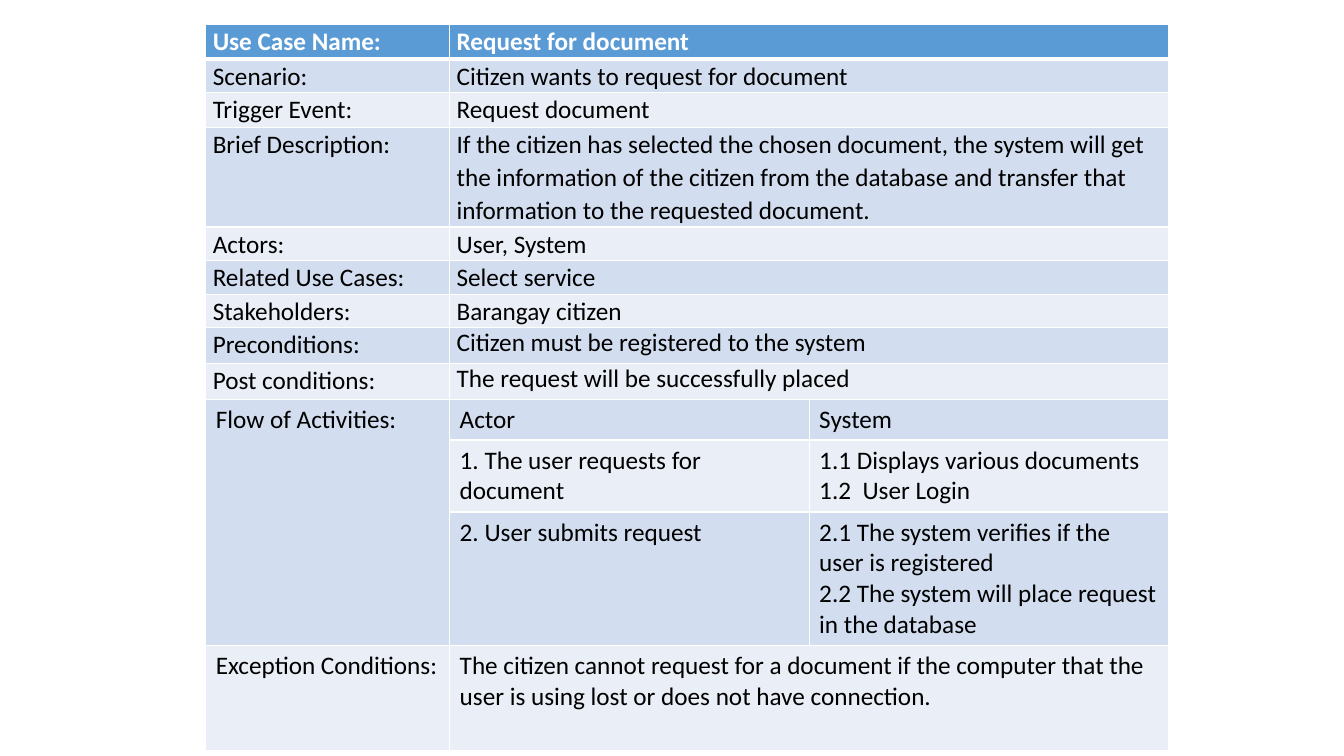
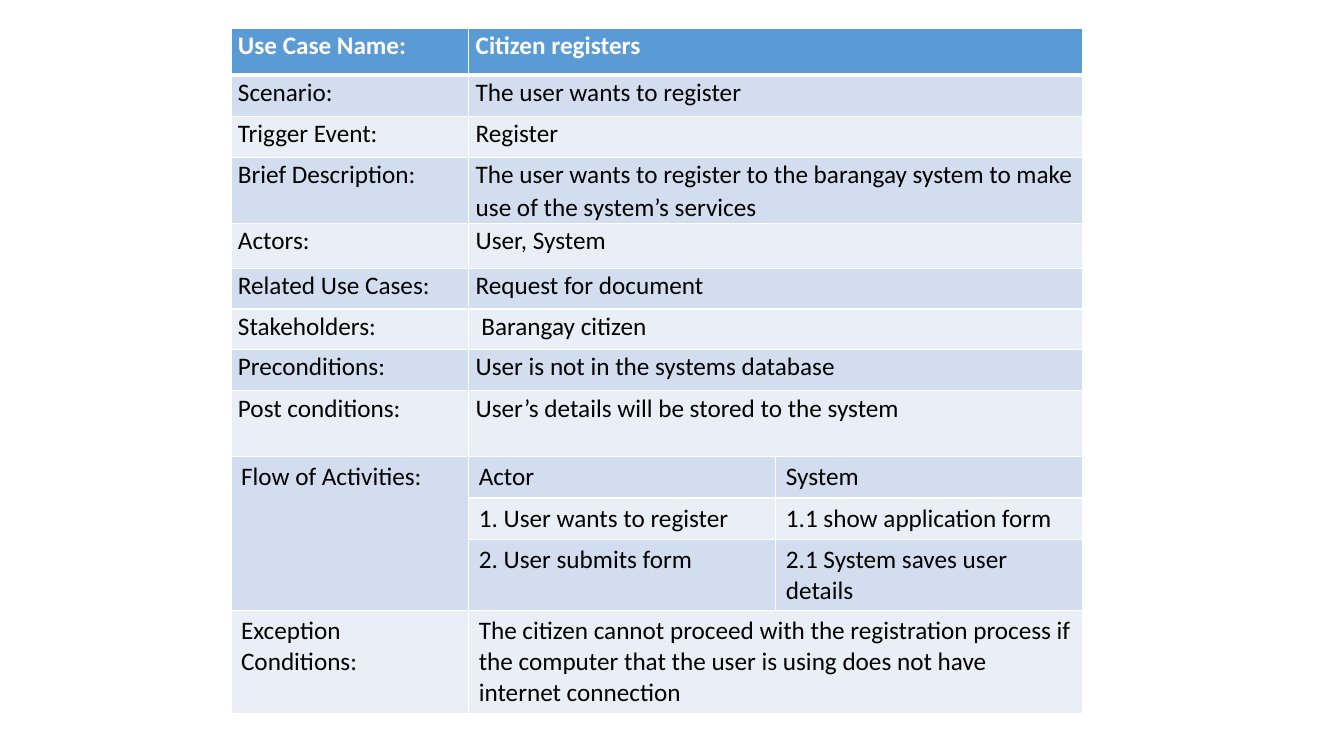
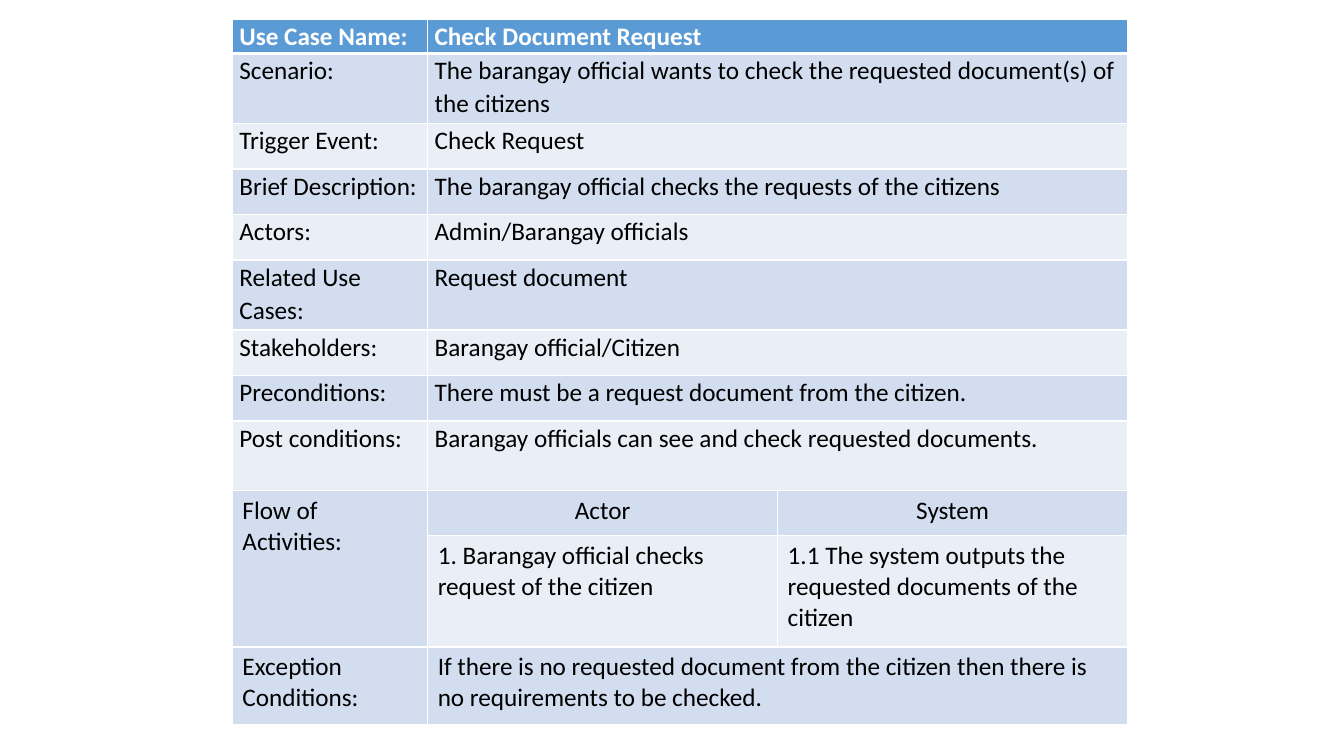
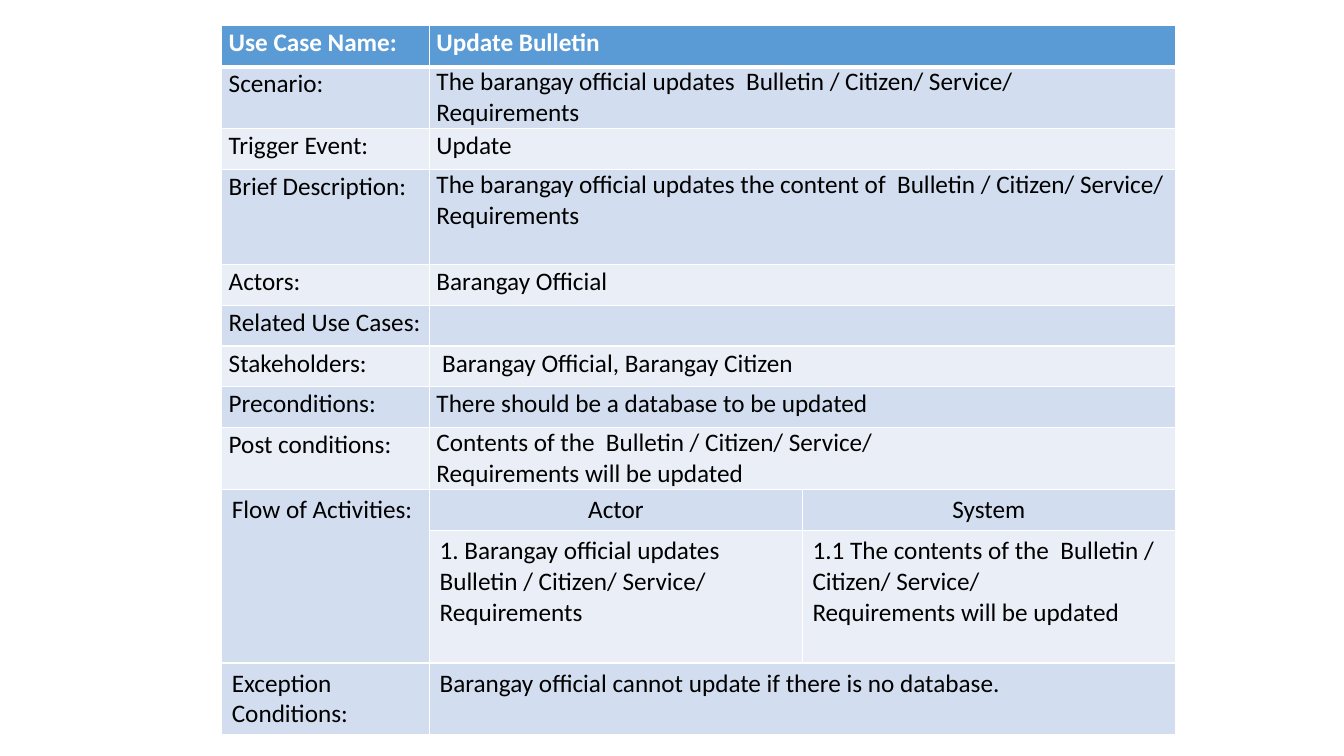
import dataclasses

import pptx
import pptx.dml.color
import pptx.enum.text
import pptx.oxml
import pptx.oxml.ns
import pptx.util

Pt = pptx.util.Pt
RGBColor = pptx.dml.color.RGBColor
PP_ALIGN = pptx.enum.text.PP_ALIGN

# Shared look
HEADER_BLUE = RGBColor(0x5B, 0x9B, 0xD5)
BAND_DARK = RGBColor(0xD2, 0xDE, 0xEF)
BAND_LIGHT = RGBColor(0xEA, 0xEF, 0xF7)
WHITE = RGBColor(0xFF, 0xFF, 0xFF)
BLACK = RGBColor(0, 0, 0)
FONT = "Calibri"
FONT_SIZE = 18
LINE_SPACING = 1.07
NARROW_INSETS = (Pt(5), 0)
WIDE_INSETS = (Pt(7.2), Pt(3.6))
THIN, THICK = 1, 3

FACT_LABELS = [
    "Use Case Name:", "Scenario:", "Trigger Event:", "Brief Description:",
    "Actors:", "Related Use Cases:", "Stakeholders:", "Preconditions:",
    "Post conditions:",
]
FLOW_LABEL = "Flow of Activities:"
FLOW_HEADINGS = ("Actor", "System")
EXCEPTION_LABEL = "Exception Conditions:"


@dataclasses.dataclass
class UseCase:
    """One slide: table place and sizes in points, and its texts."""
    left: float
    top: float
    label_width: float
    flow_width: float
    row_heights: list
    facts: list
    steps: list
    exception: str
    single_spaced: tuple = ()
    centre_headings: bool = False


USE_CASES = [
    UseCase(
        left=147, top=17.2, label_width=174.2, flow_width=256.8,
        row_heights=[25, 24, 25, 71, 24, 24.5, 23.5, 25.5, 25.5,
                     29, 51.5, 95, 75],
        facts=[
            "Request for document",
            "Citizen wants to request for document",
            "Request document",
            "If the citizen has selected the chosen document, the system "
            "will get the information of the citizen from the database and "
            "transfer that information to the requested document.",
            "User, System",
            "Select service",
            "Barangay citizen",
            "Citizen must be registered to the system",
            "The request will be successfully placed",
        ],
        steps=[
            ("1. The user requests for document",
             "1.1 Displays various documents\n1.2  User Login"),
            ("2. User submits request",
             "2.1 The system verifies if the user is registered\n"
             "2.2 The system will place request in the database"),
        ],
        exception="The citizen cannot request for a document if the computer "
                  "that the user is using lost or does not have connection.",
        single_spaced=(7, 8),
    ),
    UseCase(
        left=165, top=20.3, label_width=169.8, flow_width=219.4,
        row_heights=[33.5, 29.5, 29.5, 47, 32, 29, 29, 29.5, 47,
                     29.5, 29.5, 51, 73],
        facts=[
            "Citizen registers",
            "The user wants to register",
            "Register",
            "The user wants to register to the barangay system to make use "
            "of the system’s services",
            "User, System",
            "Request for document",
            " Barangay citizen",
            "User is not in the systems database",
            "User’s details will be stored to the system",
        ],
        steps=[
            ("1. User wants to register", "1.1 show application form"),
            ("2. User submits form", "2.1 System saves user details"),
        ],
        exception="The citizen cannot proceed with the registration process "
                  "if the computer that the user is using does not have "
                  "internet connection",
    ),
    UseCase(
        left=166, top=13.8, label_width=139.5, flow_width=250,
        row_heights=[24.5, 50, 32.5, 32.5, 32.5, 50, 32.5, 32.5, 50,
                     32, 79.5, 55.5],
        facts=[
            "Check Document Request",
            "The barangay official wants to check the requested document(s) "
            "of the citizens",
            "Check Request",
            "The barangay official checks the requests of the citizens",
            "Admin/Barangay officials",
            "Request document",
            "Barangay official/Citizen",
            "There must be a request document from the citizen.",
            "Barangay officials can see and check requested documents.",
        ],
        steps=[
            ("1. Barangay official checks request of the citizen",
             "1.1 The system outputs the requested documents of the citizen"),
        ],
        exception="If there is no requested document from the citizen then "
                  "there is no requirements to be checked.",
        centre_headings=True,
    ),
    UseCase(
        left=158.4, top=18.2, label_width=148.4, flow_width=266.4,
        row_heights=[29.5, 44, 29.5, 68, 29, 29, 29, 29.5, 44,
                     29.5, 94.5, 50.5],
        facts=[
            "Update Bulletin",
            "The barangay official updates  Bulletin / Citizen/ Service/\n"
            "Requirements",
            "Update",
            "The barangay official updates the content of  Bulletin / "
            "Citizen/ Service/\nRequirements",
            "Barangay Official",
            "",
            " Barangay Official, Barangay Citizen",
            "There should be a database to be updated",
            "Contents of the  Bulletin / Citizen/ Service/\n"
            "Requirements will be updated",
        ],
        steps=[
            ("1. Barangay official updates  Bulletin / Citizen/ Service/\n"
             "Requirements",
             "1.1 The contents of the  Bulletin / Citizen/ Service/\n"
             "Requirements will be updated"),
        ],
        exception="Barangay official cannot update if there is no database.",
        single_spaced=(1, 3, 8),
        centre_headings=True,
    ),
]


def set_borders(cell, top, bottom):
    """Draw white cell borders; top and bottom are widths in points."""
    properties = cell._tc.get_or_add_tcPr()
    widths = {"lnL": THIN, "lnR": THIN, "lnT": top, "lnB": bottom}
    for position, (side, width) in enumerate(widths.items()):
        border = pptx.oxml.parse_xml(
            f'<a:{side} {pptx.oxml.ns.nsdecls("a")} w="{int(Pt(width))}">'
            f'<a:solidFill><a:srgbClr val="{WHITE}"/></a:solidFill></a:{side}>')
        properties.insert(position, border)


def style_cell(cell, row):
    """Give a cell the fill and borders of its row."""
    cell.fill.solid()
    if row == 0:
        cell.fill.fore_color.rgb = HEADER_BLUE
    else:
        cell.fill.fore_color.rgb = BAND_DARK if row % 2 else BAND_LIGHT
    set_borders(cell, THICK if row == 1 else THIN, THICK if row == 0 else THIN)


def write_cell(cell, text, insets, spacing=None, header=False, align=None):
    across, down = insets
    cell.margin_left = cell.margin_right = across
    cell.margin_top = cell.margin_bottom = down
    cell.text_frame.text = text
    for para in cell.text_frame.paragraphs:
        para.alignment = align
        para.line_spacing = spacing
        for span in para.runs:
            span.font.name = FONT
            span.font.size = Pt(FONT_SIZE)
            span.font.bold = header
            span.font.color.rgb = WHITE if header else BLACK


def fill_facts(table, case):
    """Label and value rows, from the header to the post conditions."""
    for row, (label, value) in enumerate(zip(FACT_LABELS, case.facts)):
        table.cell(row, 1).merge(table.cell(row, 2))
        spacing = None if row in case.single_spaced else LINE_SPACING
        write_cell(table.cell(row, 0), label, NARROW_INSETS, LINE_SPACING,
                   header=row == 0)
        write_cell(table.cell(row, 1), value, NARROW_INSETS, spacing,
                   header=row == 0)


def fill_flow(table, case):
    """Actor and system steps beside one tall label."""
    first = len(FACT_LABELS)
    table.cell(first, 0).merge(table.cell(first + len(case.steps), 0))
    write_cell(table.cell(first, 0), FLOW_LABEL, WIDE_INSETS)
    for row, texts in enumerate([FLOW_HEADINGS] + case.steps, first):
        centred = row == first and case.centre_headings
        for column, text in enumerate(texts, 1):
            write_cell(table.cell(row, column), text, WIDE_INSETS,
                       align=PP_ALIGN.CENTER if centred else None)


def fill_exception(table, case):
    last = len(case.row_heights) - 1
    table.cell(last, 1).merge(table.cell(last, 2))
    write_cell(table.cell(last, 0), EXCEPTION_LABEL, WIDE_INSETS)
    write_cell(table.cell(last, 1), case.exception, WIDE_INSETS)


def add_use_case(deck, case):
    page = deck.slides.add_slide(deck.slide_layouts[6])
    widths = [case.label_width, case.flow_width, case.flow_width]
    frame = page.shapes.add_table(
        len(case.row_heights), len(widths), Pt(case.left), Pt(case.top),
        Pt(sum(widths)), Pt(sum(case.row_heights)))
    table = frame.table
    for column, width in zip(table.columns, widths):
        column.width = Pt(width)
    for row, height in enumerate(case.row_heights):
        table.rows[row].height = Pt(height)
        for cell in table.rows[row].cells:
            style_cell(cell, row)
    fill_facts(table, case)
    fill_flow(table, case)
    fill_exception(table, case)


def main():
    deck = pptx.Presentation()
    deck.slide_width, deck.slide_height = Pt(960), Pt(540)
    for case in USE_CASES:
        add_use_case(deck, case)
    deck.save("out.pptx")


if __name__ == "__main__":
    main()
